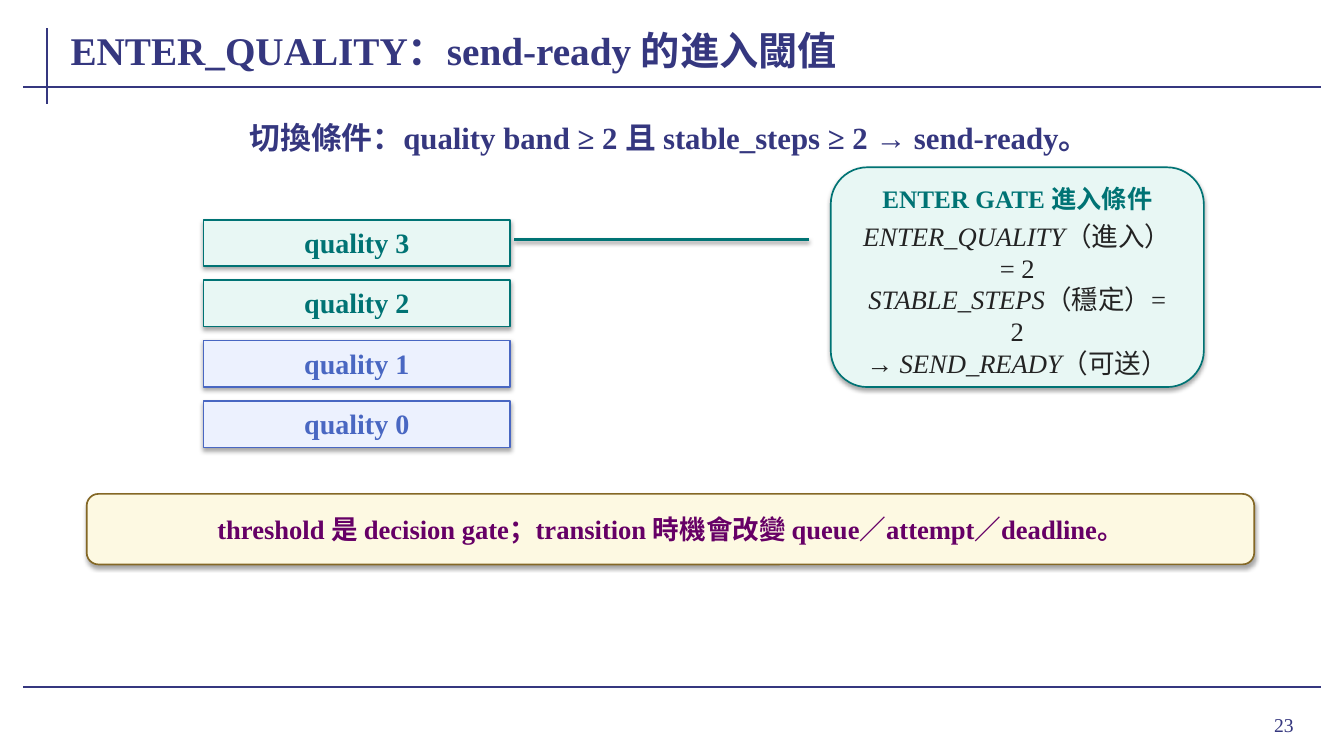
from lxml import etree
from pptx import Presentation, util as u
from pptx.dml.color import RGBColor
from pptx.enum import shapes, text
from pptx.oxml import ns

PX = 9144
FONT = "Times New Roman"
NAVY = RGBColor(0x35, 0x37, 0x7F)
TEAL = RGBColor(0x00, 0x73, 0x74)
MINT = RGBColor(0xE8, 0xF7, 0xF4)
BLUE = RGBColor(0x49, 0x67, 0xC2)
PALE = RGBColor(0xEC, 0xF1, 0xFE)
GOLD = RGBColor(0x84, 0x68, 0x26)
CREAM = RGBColor(0xFD, 0xF9, 0xE2)
PLUM = RGBColor(0x66, 0x00, 0x66)
INK = RGBColor(0x23, 0x23, 0x23)
MID = text.PP_ALIGN.CENTER
LEFT = text.PP_ALIGN.LEFT
RIGHT = text.PP_ALIGN.RIGHT
RECT = shapes.MSO_SHAPE.RECTANGLE
ROUND = shapes.MSO_SHAPE.ROUNDED_RECTANGLE


def emu(*vals):
    """Turn px lengths into EMU."""
    return [u.Emu(v * PX) for v in vals]


def shade(shape, alpha=None, dist=1.8):
    """Give a shape a soft shadow below it, or none at all."""
    props = shape._element.spPr
    for old in props.findall(ns.qn("a:effectLst")):
        props.remove(old)
    fx = etree.SubElement(props, ns.qn("a:effectLst"))
    if alpha:
        drop = etree.SubElement(
            fx, ns.qn("a:outerShdw"), blurRad=str(u.Pt(3.1)),
            dist=str(u.Pt(dist)), dir="5400000", rotWithShape="0")
        tone = etree.SubElement(drop, ns.qn("a:srgbClr"), val="000000")
        etree.SubElement(tone, ns.qn("a:alpha"), val=str(alpha * 1000))


def rule(slide, ends, color, width, alpha=None):
    """Draw a straight line between two points."""
    line = slide.shapes.add_connector(
        shapes.MSO_CONNECTOR.STRAIGHT, *emu(*ends))
    line.line.color.rgb = color
    line.line.width = u.Pt(width)
    shade(line, alpha, 1.6)


def panel(slide, box, kind, fill, edge):
    """Draw a filled and shadowed shape."""
    shape = slide.shapes.add_shape(kind, *emu(*box))
    shape.shadow.inherit = False
    shape.fill.solid()
    shape.fill.fore_color.rgb = fill
    shape.line.color.rgb = edge
    shape.line.width = u.Pt(1.2)
    shade(shape, 35)


def label(slide, box, lines, size, color, bold=True, align=MID, pad=(1, 0)):
    """Write lines, each a list of runs that switch italics on where marked *."""
    frame = slide.shapes.add_textbox(*emu(*box)).text_frame
    frame.word_wrap = True
    frame.vertical_anchor = text.MSO_ANCHOR.MIDDLE
    frame.margin_left = frame.margin_right = emu(pad[0])[0]
    frame.margin_top = frame.margin_bottom = emu(pad[1])[0]
    for i, runs in enumerate(lines):
        para = frame.add_paragraph() if i else frame.paragraphs[0]
        para.alignment = align
        para.font.name = FONT
        para.font.size = u.Pt(size)
        para.font.bold = bold
        para.font.color.rgb = color
        for part in runs:
            run = para.add_run()
            run.text = part.strip("*")
            if part.startswith("*"):
                run.font.italic = True


def frame(slide, box, title, page):
    """Draw the title, its crossed rules, the foot rule and page number."""
    x, y, w, h = box
    rule(slide, (x + 24, y, x + 24, y + 75), NAVY, 1.5)
    for level in (y + 58, y + h):
        rule(slide, (x, level, x + w, level), NAVY, 1.5)
    label(slide, (x + 45, y - 10, 1195, 62), [[title]], 28, NAVY,
          align=LEFT, pad=(2, 0))
    label(slide, (x + w - 114, y + h + 11, 97, 52), [[page]], 14, NAVY,
          bold=False, align=RIGHT, pad=(10, 5))


def ladder(slide, box):
    """Stack the quality bands from 3 down to 0."""
    x, y, w, h = box
    step = h // 4
    for row in range(4):
        band = 3 - row
        fill, tone = (MINT, TEAL) if band >= 2 else (PALE, BLUE)
        top = y + row * step
        panel(slide, (x, top, w, step - 14), RECT, fill, tone)
        label(slide, (x + 14, top + 10, w - 28, 24),
              [[f"quality {band}"]], 20, tone)


def gate(slide, box):
    """Draw the entry condition card."""
    x, y, w, h = box
    panel(slide, box, ROUND, MINT, TEAL)
    label(slide, (x + 18, y + 16, w - 36, 30),
          [["ENTER GATE 進入條件"]], 18, TEAL)
    terms = [["*ENTER_QUALITY*", "（進入）= 2"],
             ["*STABLE_STEPS*", "（穩定）= 2"],
             ["→ ", "*SEND_READY*", "（可送）"]]
    label(slide, (x + 20, y + 58, w - 40, h - 72), terms, 19, INK,
          bold=False, pad=(8, 4))


def banner(slide, box, words):
    """Draw the closing remark in a rounded bar."""
    x, y, w, h = box
    panel(slide, box, ROUND, CREAM, GOLD)
    label(slide, (x + 18, y + 7, w - 36, h - 14), [[words]], 19, PLUM,
          pad=(2, 0))


def main():
    """Build and save the slide."""
    deck = Presentation()
    deck.slide_width, deck.slide_height = u.Inches(13.33), u.Inches(7.5)
    slide = deck.slides.add_slide(deck.slide_layouts[6])
    frame(slide, (23, 28, 1287, 654),
          "ENTER_QUALITY：send-ready 的進入閾值", "23")
    label(slide, (100, 118, 1128, 36),
          [["切換條件：quality band ≥ 2 且 stable_steps ≥ 2 → send-ready。"]],
          22, NAVY, pad=(8, 4))
    ladder(slide, (202, 218, 304, 240))
    rule(slide, (510, 238, 802, 238), TEAL, 2, 38)
    gate(slide, (824, 166, 370, 218))
    banner(slide, (86, 490, 1158, 70),
           "threshold 是 decision gate；transition 時機會改變 "
           "queue／attempt／deadline。")
    deck.save("out.pptx")


if __name__ == "__main__":
    main()
